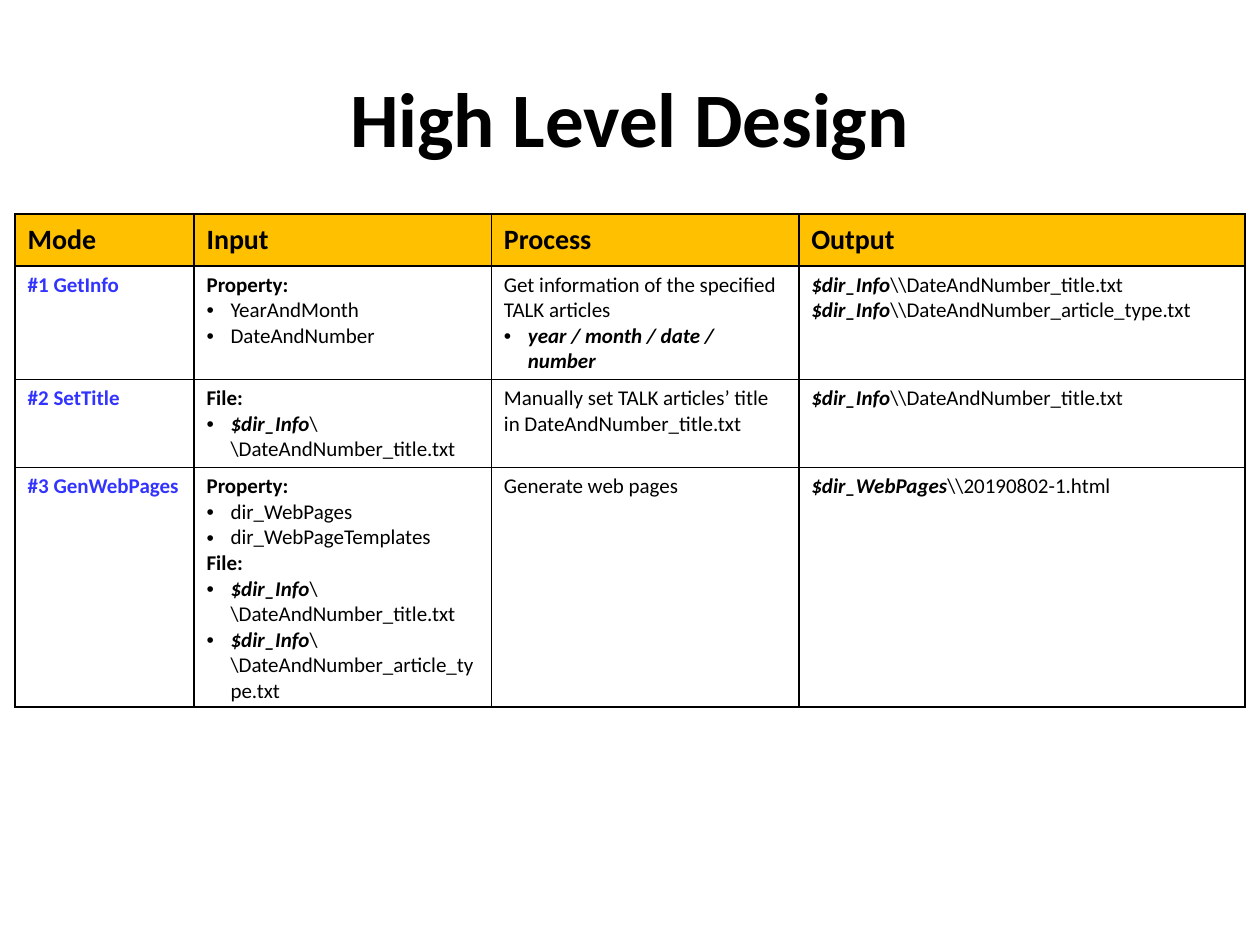
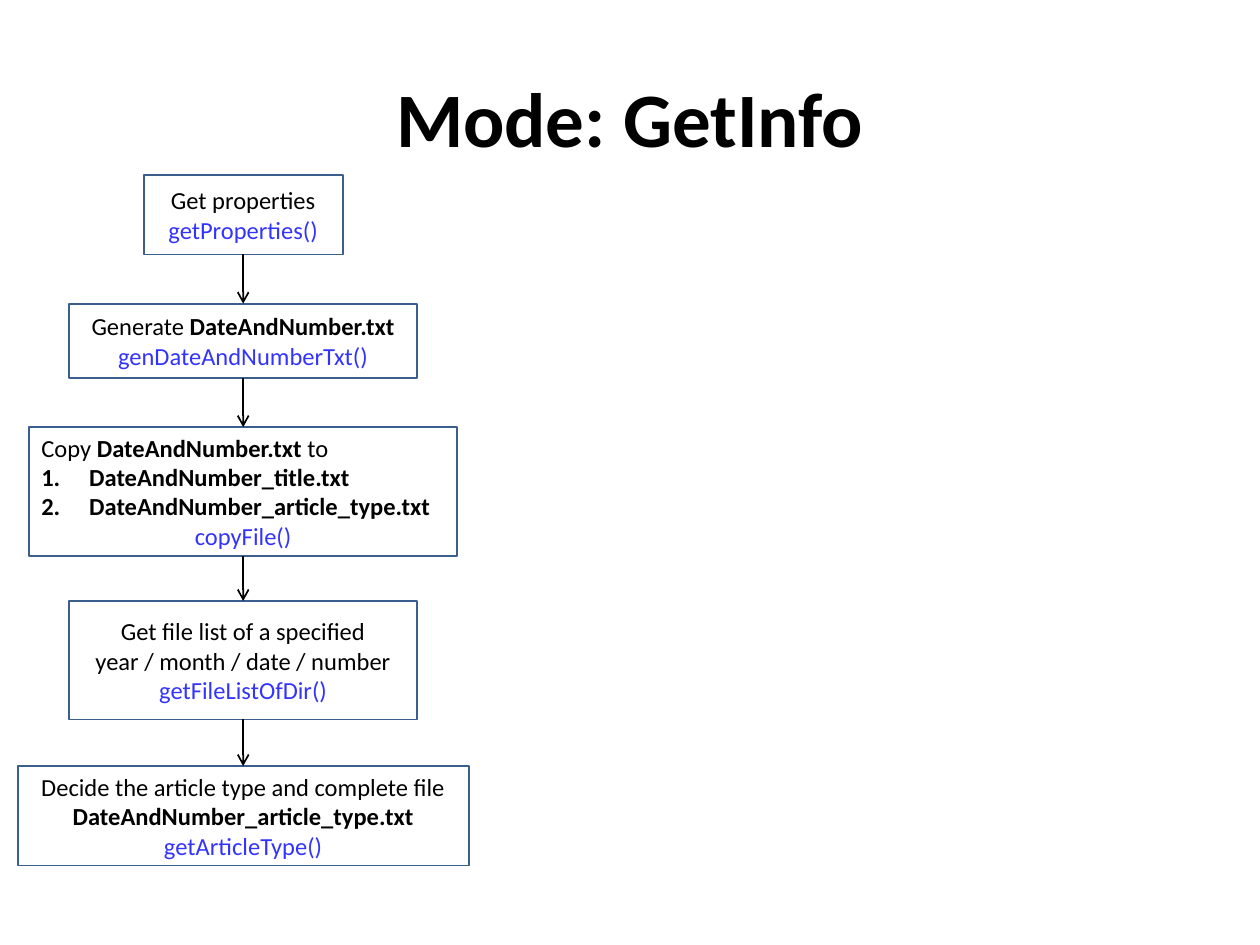
from typing import NamedTuple

from lxml.etree import SubElement
from pptx import Presentation
from pptx.dml.color import RGBColor
from pptx.enum.shapes import MSO_CONNECTOR, MSO_SHAPE
from pptx.enum.text import MSO_ANCHOR, PP_ALIGN
from pptx.oxml.ns import qn
from pptx.util import Pt

PX = 9144
FONT = "Calibri"
HUES = {"ink": "000000", "blue": "3333FF", "gold": "FFC000", "edge": "3A5F8C"}


class Run(NamedTuple):
    """A stretch of text with one weight and slant."""
    text: str
    bold: bool = False
    slant: bool = False


class Para(NamedTuple):
    """A line of runs with its colour, list mark and alignment."""
    runs: tuple[Run, ...]
    hue: str = "ink"
    mark: str = ""
    align: PP_ALIGN = PP_ALIGN.LEFT


class Step(NamedTuple):
    """A box of the flow."""
    top: int
    width: int
    height: int
    paras: list[Para]


def px(count: int) -> int:
    """Turn px into EMU."""
    return count * PX


def tint(name: str) -> RGBColor:
    """Look up a colour."""
    return RGBColor.from_string(HUES[name])


def plain(text: str, mark: str = "") -> Para:
    """Make a regular line."""
    return Para((Run(text),), mark=mark)


def strong(text: str, hue: str = "ink", mark: str = "") -> Para:
    """Make a bold line."""
    return Para((Run(text, True),), hue, mark)


def file(folder: str, name: str, mark: str = "") -> Para:
    """Make a line that names a file in a folder."""
    return Para((Run(folder, True, True), Run("\\\\" + name)), mark=mark)


def call(name: str) -> Para:
    """Make the line that names a function."""
    return Para((Run(name + "()"),), "blue", align=PP_ALIGN.CENTER)


def mid(para: Para) -> Para:
    """Centre a line."""
    return para._replace(align=PP_ALIGN.CENTER)


def set_mark(line, mark: str) -> None:
    """Give a paragraph a bullet or a number."""
    props = line._p.get_or_add_pPr()
    inset = px(19 if mark == "•" else 38)
    props.set("marL", str(inset))
    props.set("indent", str(-inset))
    if mark == "•":
        SubElement(props, qn("a:buFont"), typeface="Arial")
        SubElement(props, qn("a:buChar"), char=mark)
    else:
        SubElement(props, qn("a:buFont"), typeface="+mj-lt")
        SubElement(props, qn("a:buAutoNum"), type="arabicPeriod")


def write(frame, paras: list[Para], size: int) -> None:
    """Fill a text frame with lines."""
    frame.word_wrap = True
    for spot, para in enumerate(paras):
        line = frame.add_paragraph() if spot else frame.paragraphs[0]
        line.alignment = para.align
        if para.mark:
            set_mark(line, para.mark)
        font = line.font
        font.name, font.size = FONT, Pt(size)
        font.color.rgb = tint(para.hue)
        same = len({run[1:] for run in para.runs}) == 1
        for run in para.runs:
            part = line.add_run()
            part.text = run.text
            goal = font if same else part.font
            goal.bold, goal.italic = run.bold, run.slant


def add_page(deck, title: str):
    """Add a slide with its title."""
    page = deck.slides.add_slide(deck.slide_layouts[6])
    box = page.shapes.add_textbox(px(50), px(30), px(900), px(125))
    box.text_frame.vertical_anchor = MSO_ANCHOR.MIDDLE
    write(box.text_frame, [mid(strong(title))], 44)
    return page


def frame_cell(cell) -> None:
    """Draw thin lines on all sides of a cell."""
    props = cell._tc.get_or_add_tcPr()
    for side in ("lnL", "lnR", "lnT", "lnB"):
        line = SubElement(props, qn(f"a:{side}"), w=str(Pt(1)))
        fill = SubElement(line, qn("a:solidFill"))
        SubElement(fill, qn("a:srgbClr"), val=HUES["ink"])


def add_grid(page, heads: list[str], rows: list[list[list[Para]]], widths: list[int]) -> None:
    """Add the table of modes."""
    tall = 41
    count = len(rows) + 1
    grid = page.shapes.add_table(
        count, len(heads), px(12), px(170), px(sum(widths)), px(tall * count)).table
    grid.first_row = grid.horz_banding = False
    for col, width in zip(grid.columns, widths):
        col.width = px(width)
    for top, row in enumerate([[[strong(head)] for head in heads], *rows]):
        grid.rows[top].height = px(tall)
        for left, paras in enumerate(row):
            cell = grid.cell(top, left)
            frame_cell(cell)
            if top:
                cell.fill.background()
            else:
                cell.fill.solid()
                cell.fill.fore_color.rgb = tint("gold")
                cell.vertical_anchor = MSO_ANCHOR.MIDDLE
            write(cell.text_frame, paras, 12 if top else 16)


def add_step(page, step: Step, axis: int):
    """Add a box centred on the axis."""
    box = page.shapes.add_shape(
        MSO_SHAPE.RECTANGLE, px(axis - step.width // 2), px(step.top),
        px(step.width), px(step.height))
    box.shadow.inherit = False
    box.fill.background()
    box.line.color.rgb = tint("edge")
    box.line.width = Pt(1)
    write(box.text_frame, step.paras, 14)
    return box


def link(page, start, end) -> None:
    """Join two boxes with an arrow."""
    arrow = page.shapes.add_connector(MSO_CONNECTOR.STRAIGHT, 0, 0, 0, 0)
    arrow.begin_connect(start, 2)
    arrow.end_connect(end, 0)
    arrow.line.color.rgb = tint("ink")
    arrow.line.width = Pt(1)
    SubElement(arrow.line._get_or_add_ln(), qn("a:tailEnd"), type="arrow")
    SubElement(arrow._element.spPr, qn("a:effectLst"))


def main() -> None:
    """Build and save the deck."""
    deck = Presentation()
    deck.slide_width, deck.slide_height = px(1000), px(750)

    info, base = "$dir_Info", "DateAndNumber"
    title, kind = f"{base}_title.txt", f"{base}_article_type.txt"
    rows = [
        [[strong("#1 GetInfo", "blue")],
         [strong("Property:"), plain("YearAndMonth", "•"), plain(base, "•")],
         [plain("Get information of the specified TALK articles"),
          Para((Run("year / month / date / number", True, True),), mark="•")],
         [file(info, title), file(info, kind)]],
        [[strong("#2 SetTitle", "blue")],
         [strong("File:"), file(info, title, "•")],
         [plain(f"Manually set TALK articles’ title in {title}")],
         [file(info, title)]],
        [[strong("#3 GenWebPages", "blue")],
         [strong("Property:"), plain("dir_WebPages", "•"), plain("dir_WebPageTemplates", "•"),
          strong("File:"), file(info, title, "•"), file(info, kind, "•")],
         [plain("Generate web pages")],
         [file("$dir_WebPages", "20190802-1.html")]],
    ]
    page = add_page(deck, "High Level Design")
    add_grid(page, ["Mode", "Input", "Process", "Output"], rows, [142, 236, 244, 354])

    dates = Run(f"{base}.txt", True)
    steps = [
        Step(139, 158, 63, [mid(plain("Get properties")), call("getProperties")]),
        Step(241, 276, 59, [mid(Para((Run("Generate "), dates))), call("genDateAndNumberTxt")]),
        Step(339, 340, 102, [Para((Run("Copy "), dates, Run(" to"))),
                             strong(title, mark="1."), strong(kind, mark="1."),
                             call("copyFile")]),
        Step(477, 276, 94, [mid(plain("Get file list of a specified")),
                            mid(plain("year / month / date / number")),
                            call("getFileListOfDir")]),
        Step(608, 358, 79, [mid(plain("Decide the article type and complete file")),
                            mid(strong(kind)), call("getArticleType")]),
    ]
    page = add_page(deck, "Mode: GetInfo")
    boxes = [add_step(page, step, 193) for step in steps]
    for start, end in zip(boxes, boxes[1:]):
        link(page, start, end)

    deck.save("out.pptx")


if __name__ == "__main__":
    main()
